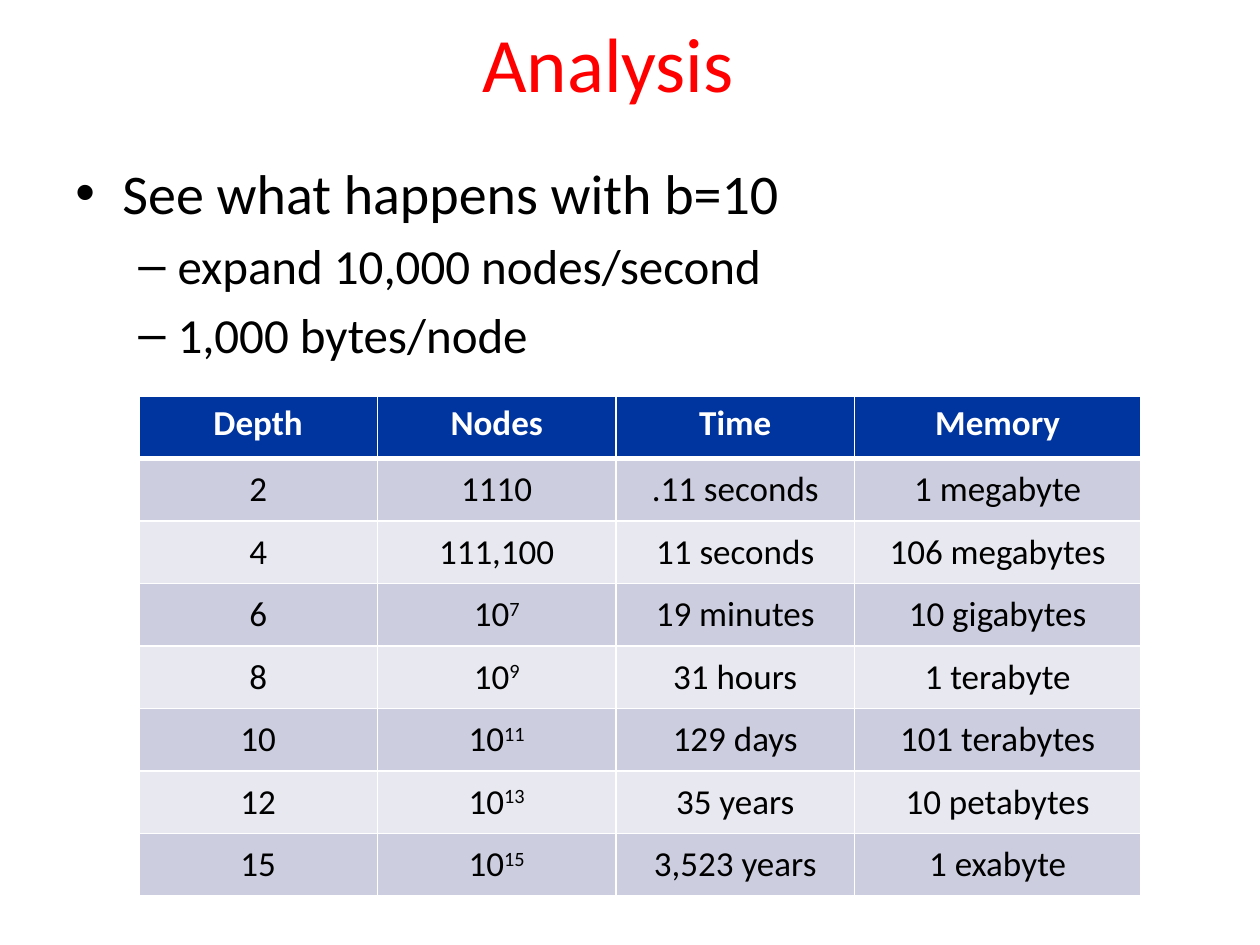
from pptx import Presentation
from pptx.dml.color import RGBColor
from pptx.enum.text import MSO_ANCHOR, PP_ALIGN
from pptx.oxml.ns import qn
from pptx.util import Cm, Pt
from lxml.etree import SubElement

RED = RGBColor(0xFF, 0x00, 0x00)
BLACK = RGBColor(0x00, 0x00, 0x00)
WHITE = RGBColor(0xFF, 0xFF, 0xFF)
NAVY = RGBColor(0x00, 0x34, 0x9E)
BANDS = (RGBColor(0xE7, 0xE8, 0xF0), RGBColor(0xCC, 0xCE, 0xDF))

# Per level: bullet, size, left margin in cm, hanging indent in cm
LEVELS = (("•", 32, 0.95, 0.95), ("–", 28, 2.06, 0.79))

POINTS = (
    (0, "See what happens with b=10"),
    (1, "expand 10,000 nodes/second"),
    (1, "1,000 bytes/node"),
)

# A caret marks the start of a superscript
COSTS = (
    ("Depth", "Nodes", "Time", "Memory"),
    ("2", "1110", ".11 seconds", "1 megabyte"),
    ("4", "111,100", "11 seconds", "106 megabytes"),
    ("6", "10^7", "19 minutes", "10 gigabytes"),
    ("8", "10^9", "31 hours", "1 terabyte"),
    ("10", "10^11", "129 days", "101 terabytes"),
    ("12", "10^13", "35 years", "10 petabytes"),
    ("15", "10^15", "3,523 years", "1 exabyte"),
)


class Page:
    def __init__(self, deck, face="Calibri"):
        self.slide = deck.slides.add_slide(deck.slide_layouts[5])
        self.face = face

    def style(self, para, size, color, bold=False):
        font = para.font
        font.name, font.size, font.bold = self.face, Pt(size), bold
        font.color.rgb = color

    def title(self, text, left, top, width, height):
        shape = self.slide.shapes.title
        shape.left, shape.top = Cm(left), Cm(top)
        shape.width, shape.height = Cm(width), Cm(height)
        frame = shape.text_frame
        frame.text = text
        frame.vertical_anchor = MSO_ANCHOR.MIDDLE
        para = frame.paragraphs[0]
        para.alignment = PP_ALIGN.CENTER
        self.style(para, 44, RED)

    def bullets(self, points, left, top, width, height):
        box = self.slide.shapes.add_textbox(
            Cm(left), Cm(top), Cm(width), Cm(height))
        frame = box.text_frame
        frame.word_wrap = True
        for i, (level, text) in enumerate(points):
            para = frame.paragraphs[0] if i == 0 else frame.add_paragraph()
            mark, size, margin, hang = LEVELS[level]
            para.text, para.level = text, level
            para.space_before = Pt(0.2 * size)
            props = para._p.get_or_add_pPr()
            props.set("marL", str(Cm(margin)))
            props.set("indent", str(-Cm(hang)))
            SubElement(props, qn("a:buFont"), typeface="Arial")
            SubElement(props, qn("a:buChar"), char=mark)
            self.style(para, size, BLACK)

    def border(self, cell, **widths):
        """Draw white edges; widths are in points, keyed L, R, T, B."""
        props = cell._tc.get_or_add_tcPr()
        for side, width in widths.items():
            line = SubElement(props, qn(f"a:ln{side}"), w=str(Pt(width)))
            fill = SubElement(line, qn("a:solidFill"))
            SubElement(fill, qn("a:srgbClr"), val=str(WHITE))

    def cell(self, cell, text, row):
        head = row == 0
        self.border(cell, L=1, R=1, T=3 if row == 1 else 1, B=3 if head else 1)
        cell.fill.solid()
        cell.fill.fore_color.rgb = NAVY if head else BANDS[row % 2]
        cell.vertical_anchor = MSO_ANCHOR.TOP if head else MSO_ANCHOR.MIDDLE
        para = cell.text_frame.paragraphs[0]
        para.alignment = PP_ALIGN.CENTER
        self.style(para, 20, WHITE if head else BLACK, head)
        base, _, power = text.partition("^")
        para.add_run().text = base
        if power:
            run = para.add_run()
            run.text = power
            run._r.get_or_add_rPr().set("baseline", "30000")

    def table(self, rows, left, top, widths, height):
        table = self.slide.shapes.add_table(
            len(rows), len(widths), Cm(left), Cm(top),
            Cm(sum(widths)), Cm(height * len(rows))).table
        for col, width in zip(table.columns, widths):
            col.width = Cm(width)
        for r, row in enumerate(rows):
            table.rows[r].height = Cm(height)
            for c, text in enumerate(row):
                self.cell(table.cell(r, c), text, r)


def main():
    deck = Presentation()
    deck.slide_width, deck.slide_height = Cm(25.4), Cm(19.05)
    page = Page(deck)
    page.title("Analysis", 2, 0.2, 20.52, 2.1)
    page.bullets(POINTS, 1.27, 3.07, 23.3, 4.88)
    page.table(COSTS, 2.8, 7.98, (4.81, 4.81, 4.81, 5.77), 1.26)
    deck.save("out.pptx")


if __name__ == "__main__":
    main()
